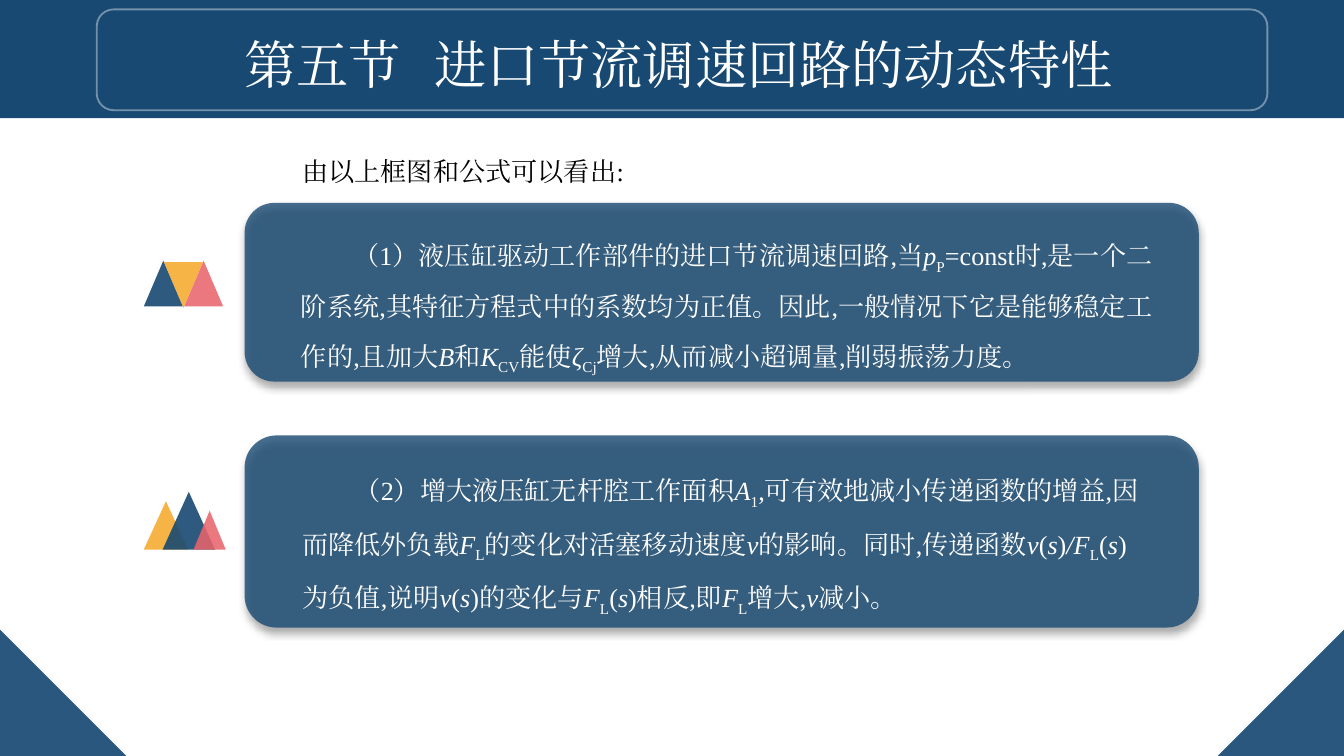
from lxml.etree import SubElement
from pptx import Presentation
from pptx.dml.color import RGBColor
from pptx.enum.shapes import MSO_SHAPE
from pptx.enum.text import MSO_ANCHOR, MSO_AUTO_SIZE, PP_ALIGN
from pptx.oxml import parse_xml
from pptx.oxml.ns import nsdecls, qn
from pptx.util import Inches, Pt

COLORS = {"navy": "184972", "amber": "F49F14", "coral": "E8646B",
          "white": "FFFFFF", "black": "000000"}
FONT = "Times New Roman"
COLUMNS, ROWS = 100, 56.25  # square grid cells


class SlideBuilder:
    """Holds the style and the current slide; places are in grid cells."""

    def __init__(self, deck):
        self.cell = deck.slide_width / COLUMNS
        self.slide = deck.slides.add_slide(deck.slide_layouts[5])

    def lengths(self, *cells):
        return [round(cell * self.cell) for cell in cells]

    def tint(self, color_format, color):
        color_format.rgb = RGBColor.from_string(COLORS[color])

    def fade(self, shape, opacity):
        if opacity < 100:
            tone = next(shape.element.spPr.iter(qn("a:srgbClr")))
            SubElement(tone, qn("a:alpha")).set("val", str(opacity * 1000))

    def block(self, preset, place, color, opacity=100, rotation=0):
        shape = self.slide.shapes.add_shape(preset, *self.lengths(*place))
        shape.shadow.inherit = False
        shape.fill.solid()
        self.tint(shape.fill.fore_color, color)
        self.fade(shape, opacity)
        shape.line.fill.background()
        shape.rotation = rotation
        return shape

    def card(self, place):
        card = self.block(MSO_SHAPE.ROUNDED_RECTANGLE, place, "navy", 80)
        effects = card.element.spPr.find(qn("a:effectLst"))
        effects.append(parse_xml(
            f'<a:outerShdw {nsdecls("a")} blurRad="{Pt(4)}" dist="{Pt(3)}" '
            f'dir="5400000" rotWithShape="0"><a:srgbClr val="{COLORS["black"]}">'
            '<a:alpha val="40000"/></a:srgbClr></a:outerShdw>'))

    def frame(self, place, color, opacity):
        frame = self.slide.shapes.add_shape(
            MSO_SHAPE.ROUNDED_RECTANGLE, *self.lengths(*place))
        frame.shadow.inherit = False
        frame.fill.background()
        frame.line.width = Pt(1)
        self.tint(frame.line.color, color)
        self.fade(frame, opacity)

    def add_runs(self, paragraph, pieces, size, color):
        for wording, style in pieces:
            run = paragraph.add_run()
            run.text = wording
            font = run.font
            font.size, font.name = Pt(size), FONT
            font.italic = style == "var"
            self.tint(font.color, color)
            properties = run._r.get_or_add_rPr()
            SubElement(properties, qn("a:ea")).set("typeface", FONT)
            if style == "sub":
                properties.set("baseline", "-25000")

    def title(self, place, heading, tab):
        title = self.slide.shapes.title
        title.element.getparent().append(title.element)  # above the band
        title.left, title.top, title.width, title.height = self.lengths(*place)
        frame = title.text_frame
        frame.auto_size = MSO_AUTO_SIZE.NONE
        frame.vertical_anchor = MSO_ANCHOR.TOP
        paragraph = frame.paragraphs[0]
        paragraph.alignment = PP_ALIGN.LEFT
        stops = SubElement(paragraph._p.get_or_add_pPr(), qn("a:tabLst"))
        SubElement(stops, qn("a:tab"), pos=str(self.lengths(tab)[0]), algn="l")
        self.add_runs(paragraph, [(heading, "")], 28, "white")

    def text(self, place, pieces, color, spacing, indent=0, wrap=True):
        box = self.slide.shapes.add_textbox(*self.lengths(*place))
        frame = box.text_frame
        frame.word_wrap = wrap
        frame.auto_size = MSO_AUTO_SIZE.SHAPE_TO_FIT_TEXT
        paragraph = frame.paragraphs[0]
        paragraph.line_spacing = spacing
        paragraph._p.get_or_add_pPr().set("indent", str(self.lengths(indent)[0]))
        self.add_runs(paragraph, pieces, 14, color)


STABILITY = [
    ("（1）液压缸驱动工作部件的进口节流调速回路,当", ""), ("p", "var"), ("P", "sub"),
    ("=const时,是一个二阶系统,其特征方程式中的系数均为正值。"
     "因此,一般情况下它是能够稳定工作的,且加大", ""),
    ("B", "var"), ("和", ""), ("K", "var"), ("CV", "sub"), ("能使", ""),
    ("ζ", "var"), ("Cj", "sub"), ("增大,从而减小超调量,削弱振荡力度。", ""),
]
LOAD = [("F", "var"), ("L", "sub")]
SPEED_OF_S = [("v", "var"), ("(", ""), ("s", "var")]
LOAD_INFLUENCE = [
    ("（2）增大液压缸无杆腔工作面积", ""), ("A", "var"), ("1", "sub"),
    (",可有效地减小传递函数的增益,因而降低外负载", ""), *LOAD,
    ("的变化对活塞移动速度", ""), ("v", "var"), ("的影响。同时,传递函数", ""),
    *SPEED_OF_S, (")", ""), ("/F", "var"), ("L", "sub"), ("(", ""), ("s", "var"),
    (")为负值,说明", ""), *SPEED_OF_S, (")的变化与", ""),
    *LOAD, ("(", ""), ("s", "var"), (")相反,即", ""),
    *LOAD, ("增大,", ""), ("v", "var"), ("减小。", ""),
]
# Triangles of both icons: place, colour, opacity, rotation
PEAKS = [
    ((10.7, 37.3, 3.3, 3.6), "amber", 78, 0),
    ((12.1, 36.6, 3.9, 4.3), "navy", 90, 0),
    ((14.4, 38, 2.4, 2.9), "coral", 87, 0),
    ((10.7, 19.4, 2.9, 3.4), "navy", 90, 0),
    ((13.7, 19.4, 2.9, 3.4), "coral", 87, 0),
    ((12.2, 19.5, 2.9, 3.4), "amber", 78, 180),
]
CORNER = 9.4


def main():
    deck = Presentation()
    deck.slide_width, deck.slide_height = Inches(10), Inches(5.625)
    builder = SlideBuilder(deck)

    # Icons and cards
    for place, color, opacity, rotation in PEAKS:
        builder.block(MSO_SHAPE.ISOSCELES_TRIANGLE, place, color, opacity, rotation)
    for top, height in ((15.1, 13.3), (32.4, 14.3)):
        builder.card((18.2, top, 71, height))

    # Heading band
    builder.block(MSO_SHAPE.RECTANGLE, (0, 0, COLUMNS, 8.8), "navy")
    builder.frame((7.2, 0.7, 87.1, 7.5), "white", 40)
    builder.title((17.2, 1.9, 82.8, 5.7), "第五节\t进口节流调速回路的动态特性", 14.1)

    # Bottom corners
    for left, rotation in ((0, 0), (COLUMNS - CORNER, 270)):
        builder.block(MSO_SHAPE.RIGHT_TRIANGLE,
                      (left, ROWS - CORNER, CORNER, CORNER), "navy", 92, rotation)

    # Statements
    builder.text((21.5, 11.2, 26.6, 3.3), [("由以上框图和公式可以看出:", "")],
                 "black", Pt(15.8), wrap=False)
    builder.text((21.4, 16, 65.9, 11.2), STABILITY, "white", 1.5, 3.9)
    builder.text((21.5, 33.5, 64.2, 11.2), LOAD_INFLUENCE, "white", 1.5, 3.9)

    deck.save("out.pptx")


if __name__ == "__main__":
    main()
